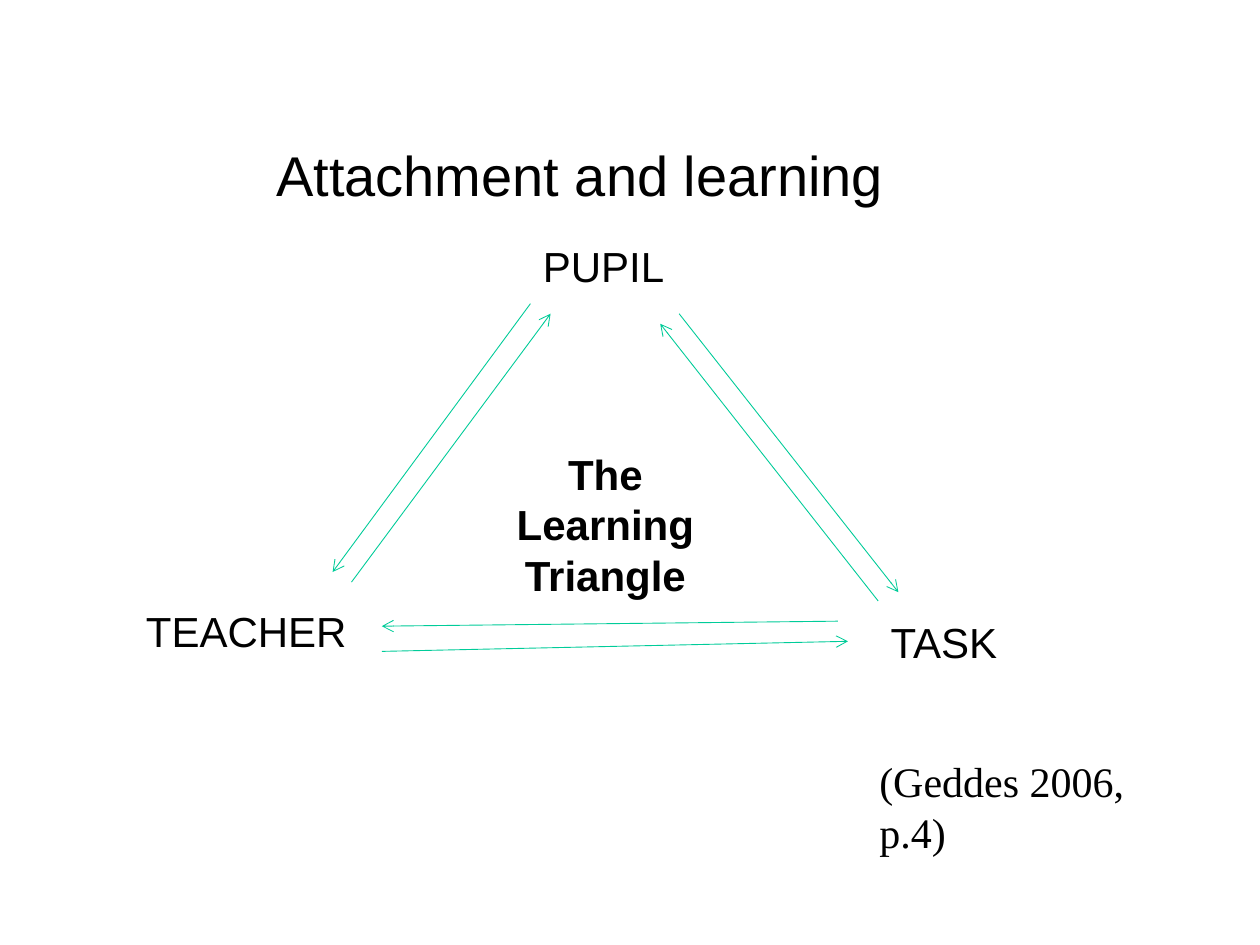
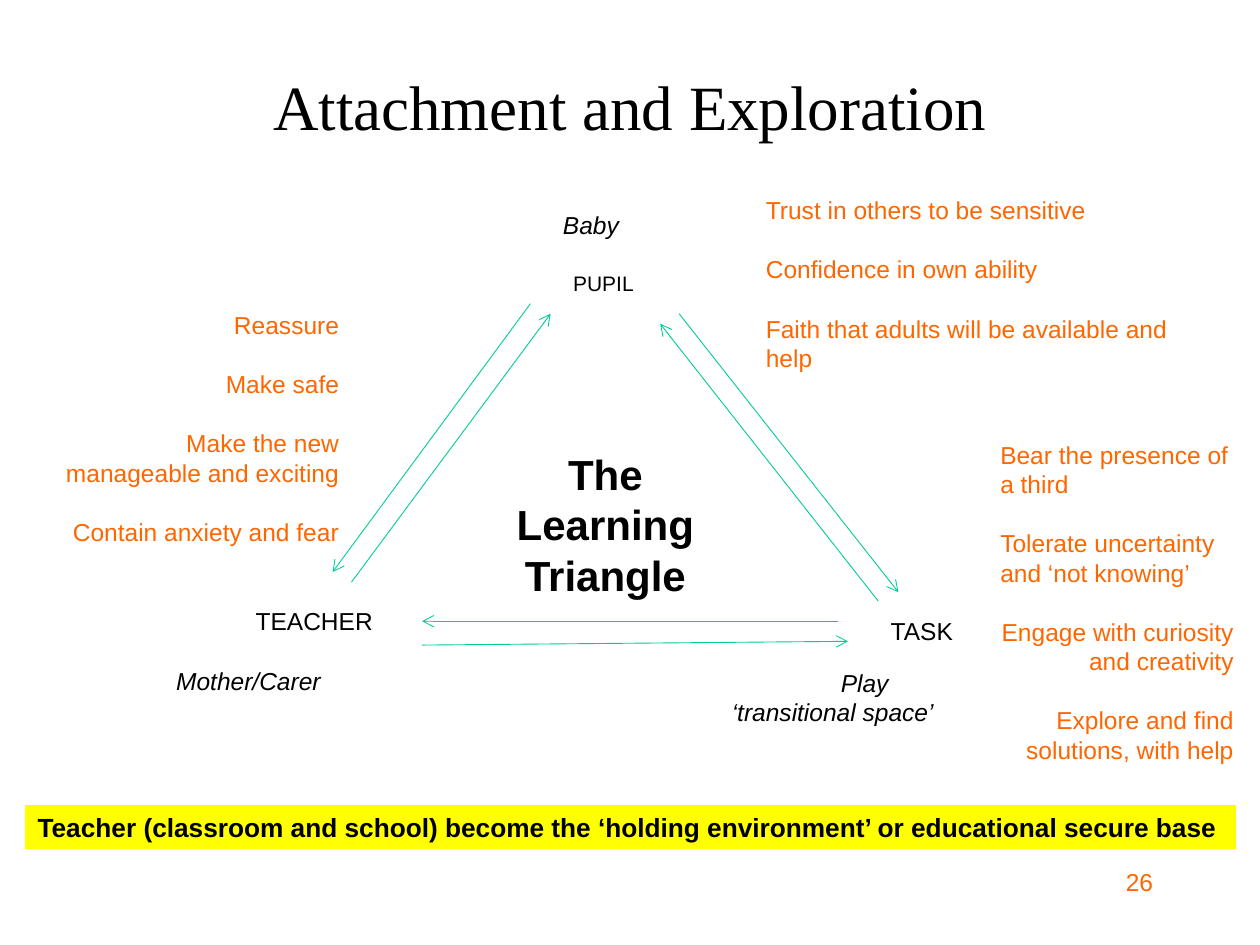
from lxml.etree import SubElement
from pptx import Presentation
from pptx.dml.color import RGBColor
from pptx.enum.shapes import MSO_CONNECTOR, MSO_SHAPE
from pptx.enum.text import MSO_ANCHOR, PP_ALIGN
from pptx.oxml.ns import qn
from pptx.util import Inches, Pt

BLACK, ORANGE, GREEN, YELLOW = "000000", "FF6600", "00CC99", "FFFF00"
LEFT, CENTER, RIGHT = PP_ALIGN.LEFT, PP_ALIGN.CENTER, PP_ALIGN.RIGHT
SIDE_ARROWS = [
    ((2.79, 4.62), (4.37, 2.49)),
    ((4.21, 2.41), (2.64, 4.54)),
    ((5.39, 2.49), (7.13, 4.70)),
    ((6.97, 4.77), (5.24, 2.57)),
]


def color(hex_value):
    return RGBColor.from_string(hex_value)


class Deck:
    def __init__(self):
        self.presentation = Presentation()
        self.presentation.slide_width = Inches(10)
        self.presentation.slide_height = Inches(7.5)
        self.slide = None

    def new_slide(self):
        self.slide = self.presentation.slides.add_slide(self.presentation.slide_layouts[6])

    def fill_frame(self, frame, lines, align=LEFT, ink=BLACK, gap=0, **style):
        fonts = {"name": "Arial", "size": 14, "bold": False, "italic": False, **style}
        fonts["size"] = Pt(fonts["size"])
        aligns = align if isinstance(align, list) else [align] * len(lines)
        for index, (line, line_align) in enumerate(zip(lines, aligns)):
            paragraph = frame.add_paragraph() if index else frame.paragraphs[0]
            paragraph.alignment = line_align
            if index and gap:
                paragraph.space_before = Pt(gap)
            run = paragraph.add_run()
            run.text = line
            for key, value in fonts.items():
                setattr(run.font, key, value)
            run.font.color.rgb = color(ink)

    def text(self, box, *lines, wrap=True, anchor=MSO_ANCHOR.TOP, **style):
        frame = self.slide.shapes.add_textbox(*map(Inches, box)).text_frame
        frame.word_wrap = wrap
        frame.vertical_anchor = anchor
        self.fill_frame(frame, lines, **style)

    def band(self, box, line, fill, **style):
        band = self.slide.shapes.add_shape(MSO_SHAPE.RECTANGLE, *map(Inches, box))
        band.shadow.inherit = False
        band.fill.solid()
        band.fill.fore_color.rgb = color(fill)
        band.line.fill.background()
        band.text_frame.word_wrap = True
        band.text_frame.vertical_anchor = MSO_ANCHOR.TOP
        self.fill_frame(band.text_frame, [line], **style)

    def arrow(self, start, end):
        arrow = self.slide.shapes.add_connector(
            MSO_CONNECTOR.STRAIGHT, *map(Inches, (*start, *end)))
        arrow.line.color.rgb = color(GREEN)
        arrow.line.width = Pt(0.5)
        properties = arrow._element.spPr
        SubElement(properties.find(qn("a:ln")), qn("a:tailEnd"), type="arrow")
        SubElement(properties, qn("a:effectLst"))

    def learning_triangle(self, base_arrows):
        for start, end in SIDE_ARROWS + base_arrows:
            self.arrow(start, end)
        self.text((3.9, 3.51, 1.81, 1.3), "The Learning Triangle",
                  align=CENTER, size=24, bold=True)


def attachment_and_learning(deck):
    deck.new_slide()
    deck.text((1.77, 1.07, 5.67, 0.64), "Attachment and learning", align=CENTER, size=32)
    deck.learning_triangle([((3.03, 5.17), (6.73, 5.09)), ((6.65, 4.93), (3.03, 4.97))])
    deck.text((4.21, 1.86, 1.34, 0.5), "PUPIL", size=24)
    deck.text((1.06, 4.76, 2.28, 0.5), "TEACHER", size=24)
    deck.text((6.97, 4.84, 1.3, 0.5), "TASK", size=24)
    deck.text((6.88, 5.95, 2.75, 0.5), "(Geddes 2006, p.4)",
              wrap=False, size=24, name="Times New Roman")


def attachment_and_exploration(deck):
    deck.new_slide()
    deck.text((0.75, 0.21, 8.5, 1.25), "Attachment and Exploration",
              anchor=MSO_ANCHOR.MIDDLE, align=CENTER, size=36, name="Times New Roman")
    deck.text((7.17, 6.83, 2.08, 0.5), "26", align=RIGHT, ink=ORANGE)
    deck.learning_triangle([((3.35, 5.12), (6.73, 5.09)), ((6.65, 4.93), (3.35, 4.93))])

    deck.text((4.45, 2.1, 0.95, 0.3), "PUPIL", size=12)
    deck.text((1.93, 4.76, 1.42, 0.34), "TEACHER")
    deck.text((6.97, 4.84, 1.02, 0.34), "TASK")
    deck.text((4.37, 1.62, 0.94, 0.34), "Baby", italic=True)
    deck.text((1.3, 5.24, 1.73, 0.34), "Mother/Carer", italic=True)
    deck.text((5.71, 5.25, 2.36, 0.57), "Play ", "‘transitional space’",
              align=[CENTER, LEFT], italic=True)

    qualities = {"ink": ORANGE, "gap": 17}
    deck.text((0.35, 2.41, 2.44, 1.97), "Reassure", "Make safe",
              "Make the new manageable and exciting", "Contain anxiety and fear",
              align=RIGHT, **qualities)
    deck.text((5.98, 1.5, 3.62, 1.5), "Trust in others to be sensitive",
              "Confidence in own ability", "Faith that adults will be available and help",
              **qualities)
    deck.text((7.84, 3.44, 2.05, 2.67), "Bear the presence of a third",
              "Tolerate uncertainty and ‘not knowing’", "Engage with curiosity and creativity",
              "Explore and find solutions, with help",
              align=[LEFT, LEFT, RIGHT, RIGHT], **qualities)
    deck.band((0.2, 6.39, 9.61, 0.35),
              "Teacher (classroom and school) become the ‘holding environment’ "
              "or educational secure base", YELLOW, size=15, bold=True)


def main():
    deck = Deck()
    attachment_and_learning(deck)
    attachment_and_exploration(deck)
    deck.presentation.save("out.pptx")


if __name__ == "__main__":
    main()
